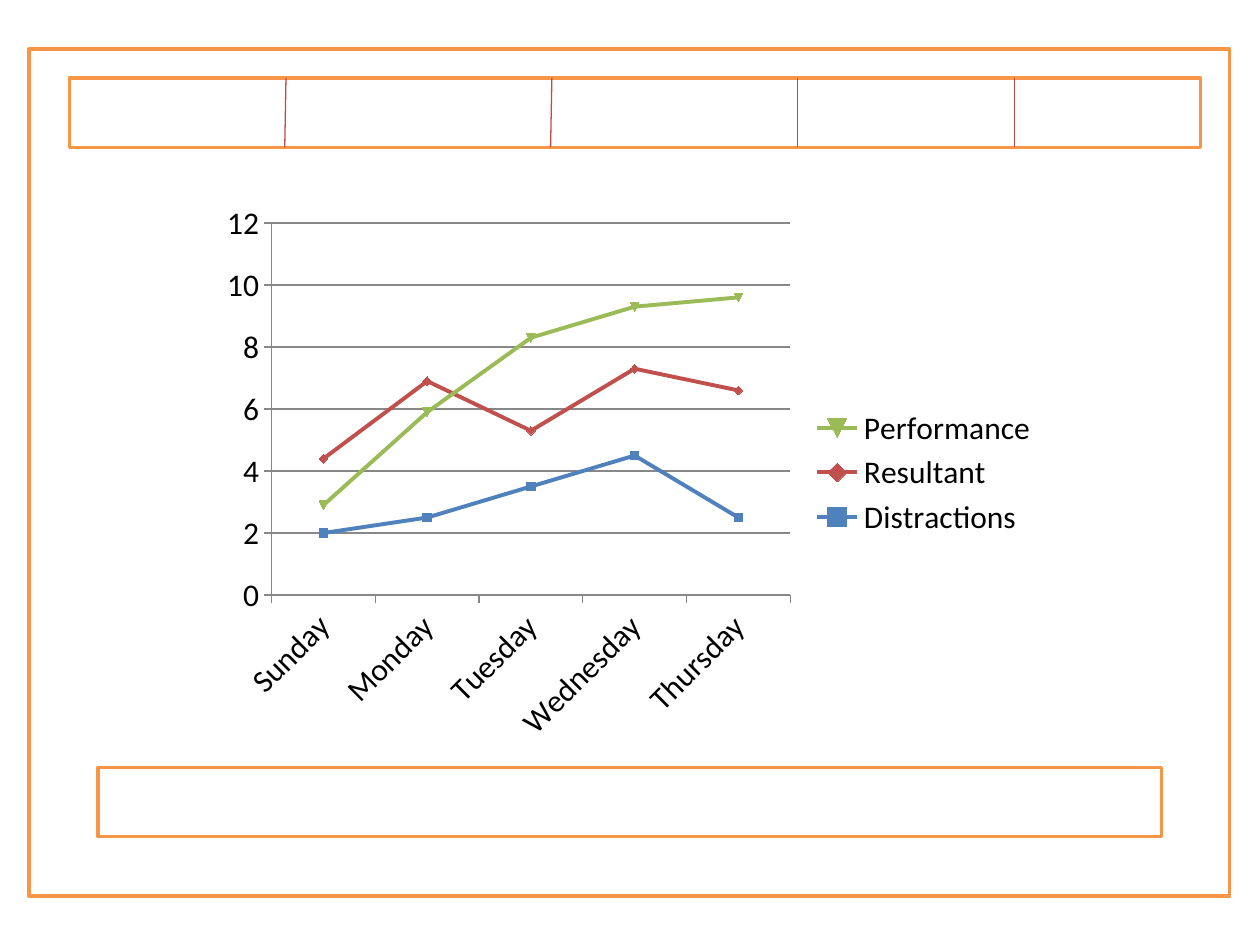
from pptx import Presentation
from pptx.chart.data import CategoryChartData as Data
from pptx.dml.color import RGBColor
from pptx.enum.chart import XL_CHART_TYPE as Kind, XL_LEGEND_POSITION as Side, XL_TICK_MARK as Tick
from pptx.enum.shapes import MSO_CONNECTOR as Link, MSO_SHAPE as Form
from pptx.oxml.ns import qn
from pptx.util import Inches, Pt

DAYS = ["Sunday", "Monday", "Tuesday", "Wednesday", "Thursday"]
SERIES = [
    ("Distractions", (2, 2.5, 3.5, 4.5, 2.5), "4F81BD"),
    ("Resultant", (2.4, 4.4, 1.8, 2.8, 4.1), "C0504D"),
    ("Performance", (-1.5, -1, 3, 2, 3), "9BBB59"),
]


def tint(code):
    return RGBColor.from_string(code)


def stroke(line, code, width):
    line.color.rgb = tint(code)
    line.width = Pt(width)


def add_box(slide, box):
    shape = slide.shapes.add_shape(Form.RECTANGLE, *map(Inches, box))
    shape.shadow.inherit = False
    shape.fill.solid()
    shape.fill.fore_color.rgb = tint("FFFFFF")
    stroke(shape.line, "F79646", 2)


def add_header(slide, box, splits):
    add_box(slide, box)
    left, top, _, height = box
    for start, end in splits:
        rule = slide.shapes.add_connector(
            Link.STRAIGHT, Inches(left + start), Inches(top),
            Inches(left + end), Inches(top + height))
        stroke(rule.line, "BF4C48", 0.75)
        props = rule._element.spPr
        props.append(props.makeelement(qn("a:effectLst"), {}))


def add_graph(slide, box):
    data = Data()
    data.categories = DAYS
    for name, vals, _ in SERIES:
        data.add_series(name, vals)
    chart = slide.shapes.add_chart(
        Kind.LINE_MARKERS_STACKED, *map(Inches, box), data).chart
    chart.has_title = False
    chart.font.name = "Calibri"
    chart.font.size = Pt(18)
    chart.font.color.rgb = tint("000000")
    chart.has_legend = True
    chart.legend.position = Side.RIGHT
    chart.legend.include_in_layout = False
    plot = chart.plots[0]
    plot.vary_by_categories = False
    for series, (_, _, code) in zip(plot.series, SERIES):
        series.smooth = False
        stroke(series.format.line, code, 2.25)
    for axis in (chart.category_axis, chart.value_axis):
        axis.major_tick_mark = Tick.OUTSIDE
        axis.minor_tick_mark = Tick.NONE
        stroke(axis.format.line, "878787", 0.75)
    axis = chart.value_axis
    axis.minimum_scale, axis.maximum_scale, axis.major_unit = 0, 12, 2
    axis.has_major_gridlines = True
    stroke(axis.major_gridlines.format.line, "878787", 0.75)
    frame = chart.category_axis.tick_labels.font._element.getparent().getparent().getparent()
    frame.find(qn("a:bodyPr")).set("rot", "-2700000")


def build():
    deck = Presentation()
    deck.slide_width, deck.slide_height = Inches(10), Inches(7.5)
    slide = deck.slides.add_slide(deck.slide_layouts[6])
    add_box(slide, (0.23, 0.39, 9.53, 6.72))
    add_graph(slide, (1.67, 1.53, 6.67, 4.44))
    add_header(slide, (0.55, 0.62, 8.98, 0.55),
               [(1.72, 1.71), (3.83, 3.82), (5.78, 5.78), (7.5, 7.5)])
    add_box(slide, (0.78, 6.09, 8.44, 0.55))
    deck.save("out.pptx")


build()
